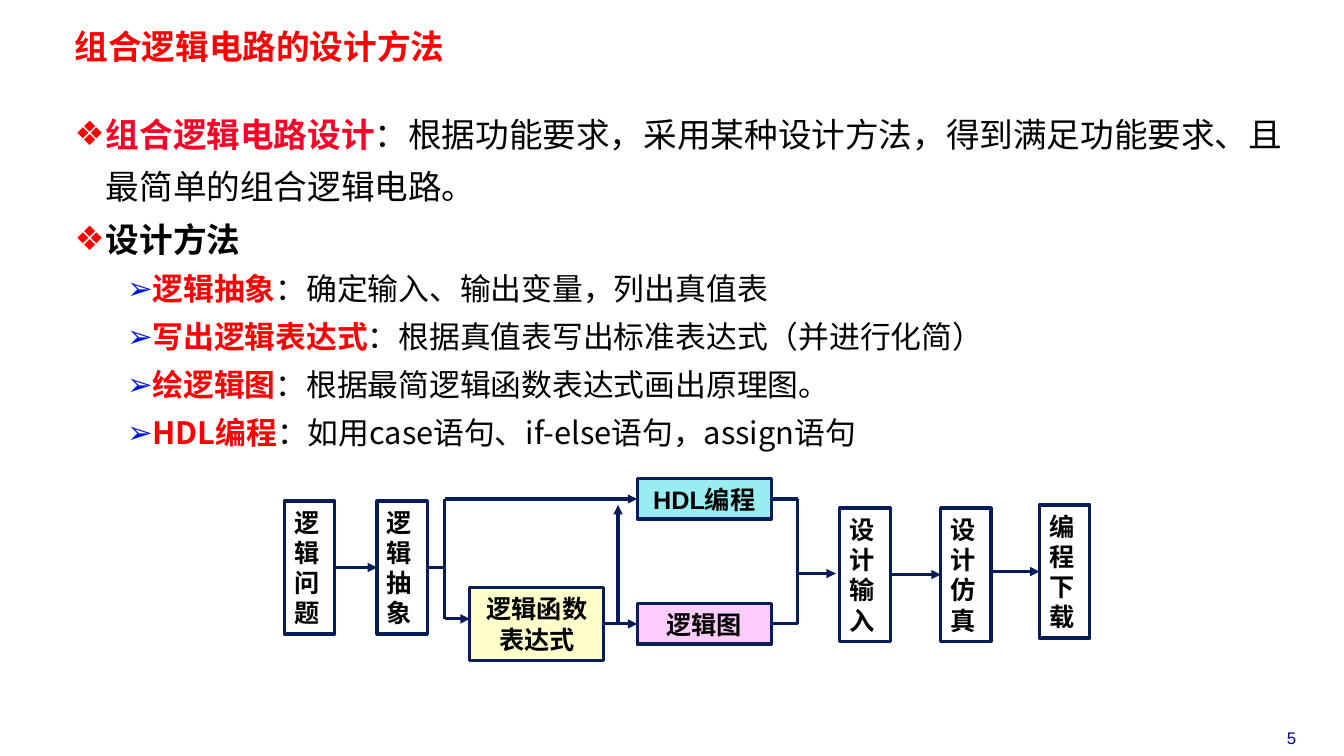
from pptx import Presentation
from pptx.dml.color import RGBColor
from pptx.enum.lang import MSO_LANGUAGE_ID as Lang
from pptx.enum.shapes import MSO_CONNECTOR as Link, MSO_SHAPE as Shape
from pptx.enum.text import MSO_ANCHOR as Anchor, PP_ALIGN as Align
from pptx.oxml.ns import qn
from pptx.util import Inches, Pt
from lxml.etree import SubElement

RED = RGBColor(0xFF, 0, 0)
CRIMSON = RGBColor(0xFC, 0x01, 0x28)
BLACK = RGBColor(0, 0, 0)
NAVY = RGBColor(0x08, 0x1D, 0x58)
BLUE = RGBColor(0, 0, 0x99)
CYAN = RGBColor(0x98, 0xEC, 0xF2)
CREAM = RGBColor(0xFF, 0xFF, 0xCC)
PINK = RGBColor(0xFF, 0xCC, 0xFF)
SANS = "Noto Sans CJK SC"


def style(font, size, name, color, bold=False):
    font.size, font.name, font.bold = Pt(size), name, bold
    font.color.rgb = color
    font.language_id = Lang.SIMPLIFIED_CHINESE


def inset(frame, side, top):
    frame.word_wrap = True
    frame.margin_left = frame.margin_right = Inches(side)
    frame.margin_top = frame.margin_bottom = Inches(top)


deck = Presentation()
deck.slide_width, deck.slide_height = Inches(13.33), Inches(7.5)
slide = deck.slides.add_slide(deck.slide_layouts[5])
shapes = slide.shapes

title = shapes.title
title.left, title.top = Inches(0.67), Inches(0.28)
title.width, title.height = Inches(5.75), Inches(0.41)
title.text_frame.text = "组合逻辑电路的设计方法"
inset(title.text_frame, 0.07, 0.03)
title.text_frame.vertical_anchor = Anchor.MIDDLE
head = title.text_frame.paragraphs[0]
head.alignment, head.line_spacing = Align.LEFT, 0.87
style(head.font, 24, "Noto Sans Mono", RED, True)

points = [
    (0, CRIMSON, "组合逻辑电路设计", "：根据功能要求，采用某种设计方法，得到满足功能要求、且最简单的组合逻辑电路。"),
    (0, BLACK, "设计方法", ""),
    (1, RED, "逻辑抽象", "：确定输入、输出变量，列出真值表"),
    (1, RED, "写出逻辑表达式", "：根据真值表写出标准表达式（并进行化简）"),
    (1, RED, "绘逻辑图", "：根据最简逻辑函数表达式画出原理图。"),
    (1, RED, "HDL编程", "：如用case语句、if-else语句，assign语句"),
]
levels = [(0.31, -0.31, "FF0000", "❖", 24), (0.73, -0.21, "001ADC", "➢", 22)]
body = shapes.add_textbox(Inches(0.67), Inches(0.98), Inches(12.3), Inches(3.51)).text_frame
inset(body, 0.07, 0.03)
for i, (level, color, term, rest) in enumerate(points):
    para = body.add_paragraph() if i else body.paragraphs[0]
    left, hang, tint, mark, size = levels[level]
    para.level, para.line_spacing = level, 1.3
    props = para._p.get_or_add_pPr()
    props.set("marL", str(Inches(left)))
    props.set("indent", str(Inches(hang)))
    SubElement(SubElement(props, qn("a:buClr")), qn("a:srgbClr")).set("val", tint)
    SubElement(props, qn("a:buFont")).set("typeface", "Arial")
    SubElement(props, qn("a:buChar")).set("char", mark)
    style(para.font, size, SANS, BLACK)
    run = para.add_run()
    run.text = term
    run.font.bold = True
    run.font.color.rgb = color
    if rest:
        para.add_run().text = rest

steps = [
    ("task", "逻辑问题", 2.82, 4.97, 0.5, 1.32, None),
    ("model", "逻辑抽象", 3.74, 4.97, 0.5, 1.32, None),
    ("code", "HDL编程", 6.32, 4.75, 1.33, 0.4, CYAN),
    ("terms", "逻辑函数表达式", 4.66, 5.83, 1.33, 0.72, CREAM),
    ("gates", "逻辑图", 6.32, 5.99, 1.33, 0.4, PINK),
    ("entry", "设计输入", 8.33, 5.04, 0.5, 1.32, None),
    ("test", "设计仿真", 9.33, 5.04, 0.5, 1.32, None),
    ("load", "编程下载", 10.31, 5.01, 0.5, 1.32, None),
]
boxes = {}
for key, label, x, y, w, h, fill in steps:
    box = shapes.add_shape(Shape.RECTANGLE, Inches(x), Inches(y), Inches(w), Inches(h))
    box.shadow.inherit = False
    if fill:
        box.fill.solid()
        box.fill.fore_color.rgb = fill
    else:
        box.fill.background()
    box.line.color.rgb, box.line.width = NAVY, Pt(2.25)
    frame = box.text_frame
    frame.text = label
    inset(frame, 0.1, 0.05)
    frame.vertical_anchor = Anchor.MIDDLE
    para = frame.paragraphs[0]
    para.alignment = Align.CENTER if fill else Align.LEFT
    style(para.font, 18, "Arial", BLACK, True)
    boxes[key] = box

wires = [
    (3.32, 5.63, 3.74, 5.63, True, "task", "model"),
    (4.24, 5.63, 4.41, 5.63, False, "model", None),
    (4.41, 4.95, 4.41, 6.14, False, None, None),
    (4.41, 6.14, 4.66, 6.14, True, None, None),
    (4.41, 4.95, 6.32, 4.95, True, None, "code"),
    (5.99, 6.19, 6.32, 6.19, True, "terms", "gates"),
    (6.13, 6.19, 6.13, 5.01, True, None, None),
    (7.65, 4.95, 7.91, 4.95, False, "code", None),
    (7.91, 4.95, 7.91, 6.19, False, None, None),
    (7.65, 6.19, 7.91, 6.19, False, "gates", None),
    (7.91, 5.69, 8.29, 5.69, True, None, None),
    (8.83, 5.7, 9.33, 5.7, True, "entry", "test"),
    (9.83, 5.67, 10.31, 5.67, True, None, "load"),
]
for x1, y1, x2, y2, arrow, start, end in wires:
    wire = shapes.add_connector(Link.STRAIGHT, Inches(x1), Inches(y1), Inches(x2), Inches(y2))
    if start:
        wire.begin_connect(boxes[start], 3)
    if end:
        wire.end_connect(boxes[end], 1)
    wire.line.color.rgb, wire.line.width = NAVY, Pt(2.25)
    if arrow:
        SubElement(wire.line._get_or_add_ln(), qn("a:tailEnd")).set("type", "triangle")
    SubElement(wire._element.spPr, qn("a:effectLst"))

page = shapes.add_textbox(Inches(12.34), Inches(7.17), Inches(0.94), Inches(0.3)).text_frame
page.text = "5"
inset(page, 0.1, 0.05)
page.paragraphs[0].alignment = Align.CENTER
style(page.paragraphs[0].font, 12, "Arial", BLUE)

deck.save("out.pptx")
